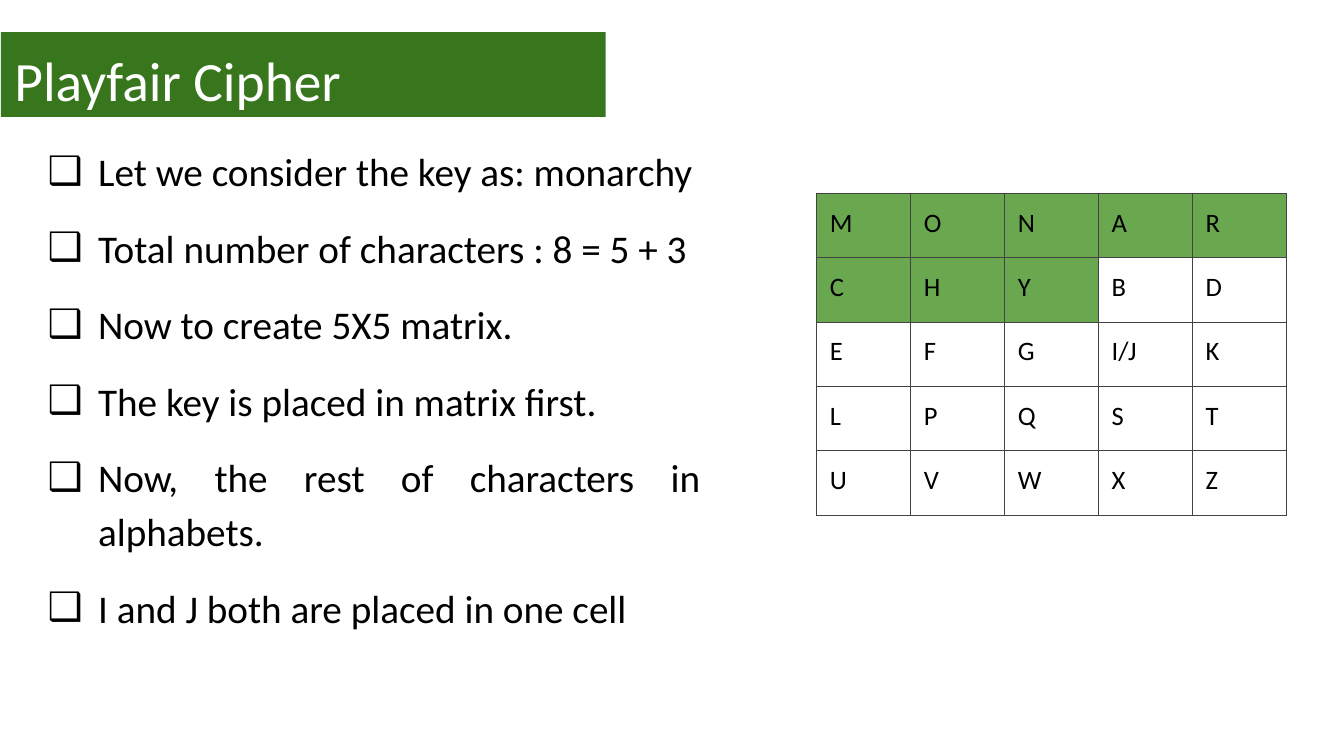
import pptx
import pptx.dml.color
import pptx.enum.shapes
import pptx.enum.text
import pptx.oxml.ns
import pptx.util
from lxml import etree

Pt = pptx.util.Pt
PP_ALIGN = pptx.enum.text.PP_ALIGN

COLORS = {
    "banner": "38761D",
    "banner_text": "FFFFFF",
    "text": "000000",
    "key_cell": "6AA84F",
    "grid": "434343",
}
FONT = "Calibri"
INSET = 9.6
HANGING = 36

STEPS = [
    "Let we consider the key as: monarchy",
    "Total number of characters : 8 = 5 + 3",
    "Now to create 5X5 matrix.",
    "The key is placed in matrix first.",
    "Now, the rest of characters in alphabets.",
    "I and J both are placed in one cell",
]
KEY_LENGTH = 8
MATRIX = [
    ["M", "O", "N", "A", "R"],
    ["C", "H", "Y", "B", "D"],
    ["E", "F", "G", "I/J", "K"],
    ["L", "P", "Q", "S", "T"],
    ["U", "V", "W", "X", "Z"],
]


def rgb(name):
    return pptx.dml.color.RGBColor.from_string(COLORS[name])


def add_xml(parent, tag, **attributes):
    return etree.SubElement(parent, pptx.oxml.ns.qn(tag), **attributes)


def set_insets(holder):
    """Give a text frame or a table cell equal margins on all sides."""
    holder.margin_left = holder.margin_right = Pt(INSET)
    holder.margin_top = holder.margin_bottom = Pt(INSET)


def style_runs(paragraph, size, color):
    for run in paragraph.runs:
        run.font.name = FONT
        run.font.size = Pt(size)
        run.font.color.rgb = rgb(color)


def add_title(slide, left, top, width, height):
    banner = slide.shapes.add_shape(
        pptx.enum.shapes.MSO_SHAPE.RECTANGLE,
        Pt(left), Pt(top), Pt(width), Pt(height))
    banner.shadow.inherit = False
    banner.fill.solid()
    banner.fill.fore_color.rgb = rgb("banner")
    banner.line.fill.background()
    frame = banner.text_frame
    set_insets(frame)
    frame.word_wrap = True
    frame.vertical_anchor = pptx.enum.text.MSO_ANCHOR.TOP
    frame.text = "Playfair Cipher"
    title = frame.paragraphs[0]
    title.alignment = PP_ALIGN.LEFT
    style_runs(title, 39.6, "banner_text")


def add_steps(slide, left, top, width, height):
    frame = slide.shapes.add_textbox(
        Pt(left), Pt(top), Pt(width), Pt(height)).text_frame
    set_insets(frame)
    frame.word_wrap = True
    frame.text = "\n".join(STEPS)
    for index, step in enumerate(frame.paragraphs):
        step.alignment = PP_ALIGN.JUSTIFY
        step.line_spacing = 1.15
        if index:
            step.space_before = Pt(16)
        properties = step._p.get_or_add_pPr()
        properties.set("marL", str(Pt(HANGING)))
        properties.set("indent", str(-Pt(HANGING)))
        add_xml(properties, "a:buFont", typeface=FONT)
        add_xml(properties, "a:buChar", char="❑")
        style_runs(step, 28, "text")


def add_borders(cell):
    """Draw a thin line on each side; borders must precede the cell's fill."""
    properties = cell._tc.get_or_add_tcPr()
    for side in ("a:lnL", "a:lnR", "a:lnT", "a:lnB"):
        line = add_xml(properties, side, w=str(Pt(0.75)))
        fill = add_xml(line, "a:solidFill")
        add_xml(fill, "a:srgbClr", val=COLORS["grid"])


def add_matrix(slide, left, top, width, height):
    size = len(MATRIX)
    table = slide.shapes.add_table(
        size, size, Pt(left), Pt(top), Pt(width), Pt(height)).table
    table.first_row = table.horz_banding = False
    for index in range(size):
        table.columns[index].width = Pt(width / size)
        table.rows[index].height = Pt(height / size)
    for row, letters in enumerate(MATRIX):
        for column, letter in enumerate(letters):
            cell = table.cell(row, column)
            cell.text = letter
            set_insets(cell)
            style_runs(cell.text_frame.paragraphs[0], 19, "text")
            add_borders(cell)
            if row * size + column < KEY_LENGTH:
                cell.fill.solid()
                cell.fill.fore_color.rgb = rgb("key_cell")
            else:
                cell.fill.background()


def main():
    deck = pptx.Presentation()
    deck.slide_width, deck.slide_height = Pt(960), Pt(540)
    slide = deck.slides.add_slide(deck.slide_layouts[6])
    add_title(slide, 0.7, 23, 432, 60.5)
    add_steps(slide, 24.5, 90.7, 485.3, 427.7)
    add_matrix(slide, 583.2, 138.2, 335.5, 230)
    deck.save("out.pptx")


if __name__ == "__main__":
    main()
